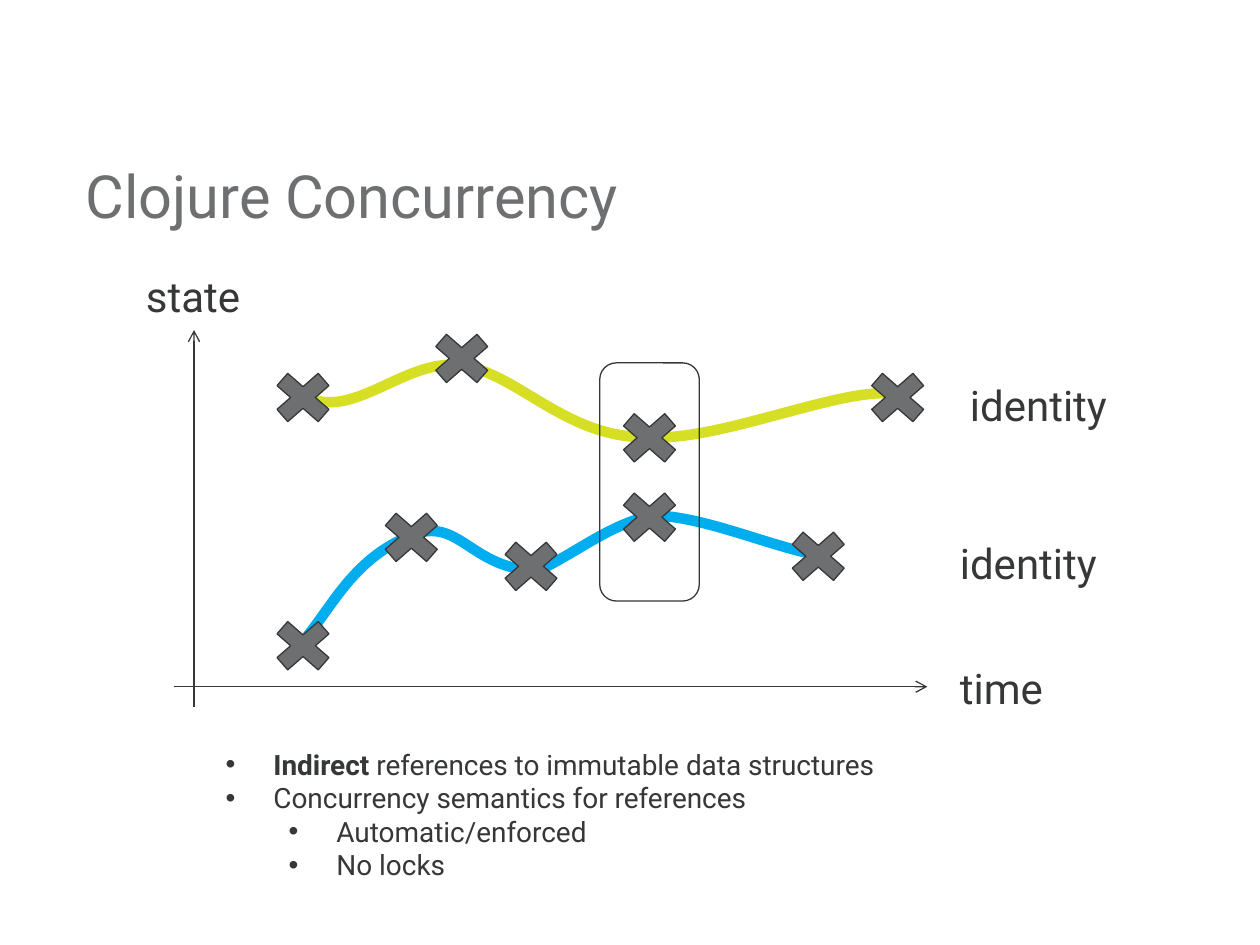
import collections

import lxml.etree
import pptx
import pptx.dml.color
import pptx.enum.shapes
import pptx.enum.text
import pptx.oxml.ns
import pptx.util
from pptx.util import Inches

FONT = "Roboto"
INK, GREY, BLUE, LIME = "363738", "6D6F71", "00ADEF", "D6DF23"
Box = collections.namedtuple("Box", "left top width height")
Track = collections.namedtuple("Track", "color points marks label")

TRACKS = [
    Track(
        BLUE,
        [(1.27, 3.23), (1.6, 2.94), (1.72, 2.47), (2.26, 2.25), (2.65, 2.09),
         (2.73, 2.52), (3.27, 2.53), (3.57, 2.39), (3.84, 2.16), (4.18, 2.09),
         (4.61, 2.1), (5.13, 2.35), (5.56, 2.42)],
        [(1.09, 2.85), (1.95, 1.99), (2.9, 2.22), (3.84, 1.83), (5.18, 2.14)],
        (6.52, 2.22),
    ),
    Track(
        LIME,
        [(1.39, 1.13), (1.79, 1.37), (2.2, 0.84), (2.66, 0.9), (3.11, 0.96),
         (3.49, 1.48), (4.14, 1.47), (4.72, 1.51), (5.71, 1.05), (6.13, 1.13)],
        [(1.09, 0.88), (2.35, 0.57), (3.84, 1.2), (5.81, 0.88)],
        (6.6, 0.96),
    ),
]
BULLETS = [
    (0, [("Indirect", True), (" references to immutable data structures", False)]),
    (0, [("Concurrency semantics for references", False)]),
    (1, [("Automatic/enforced", False)]),
    (1, [("No locks", False)]),
]


def rgb(value):
    """Turn a hex string into a colour."""
    return pptx.dml.color.RGBColor.from_string(value)


def add_xml(parent, tag, **attributes):
    """Append a drawing element with the given attributes."""
    return lxml.etree.SubElement(parent, pptx.oxml.ns.qn(tag), attributes)


def write(para, text, size=24, color=INK, bold=False):
    """Add a formatted span of text to a paragraph."""
    span = para.add_run()
    span.text = text
    span.font.name = FONT
    span.font.size = pptx.util.Pt(size)
    span.font.bold = bold
    span.font.color.rgb = rgb(color)


def place(shape, box):
    """Move a shape to a box given in inches."""
    shape.left, shape.top, shape.width, shape.height = map(Inches, box)


def style(shape, line, weight=0.75, fill=None):
    """Set the outline and fill of a shape and drop its shadow."""
    shape.shadow.inherit = False
    shape.line.color.rgb = rgb(line)
    shape.line.width = pptx.util.Pt(weight)
    if fill:
        shape.fill.solid()
        shape.fill.fore_color.rgb = rgb(fill)
    else:
        shape.fill.background()


def add_label(page, text, box):
    """Add a single-line label."""
    frame = page.shapes.add_textbox(*map(Inches, box)).text_frame
    frame.word_wrap = False
    frame.auto_size = pptx.enum.text.MSO_AUTO_SIZE.SHAPE_TO_FIT_TEXT
    write(frame.paragraphs[0], text)


def add_axis(page, start, end):
    """Add an axis with an open arrowhead at its end."""
    axis = page.shapes.add_connector(
        pptx.enum.shapes.MSO_CONNECTOR.STRAIGHT, *map(Inches, start + end))
    axis.line.color.rgb = rgb(INK)
    axis.line.width = pptx.util.Pt(0.75)
    add_xml(axis.line._get_or_add_ln(), "a:tailEnd", type="arrow")
    add_xml(axis._element.spPr, "a:effectLst")


def add_curve(page, points, color):
    """Draw a chain of cubic curves through a start and triples of points."""
    start, *rest = [tuple(map(Inches, point)) for point in points]
    builder = page.shapes.build_freeform(*start)
    builder.add_line_segments(rest, close=False)
    curve = builder.convert_to_shape()
    style(curve, color, weight=6)
    outline = next(curve._element.iter(pptx.oxml.ns.qn("a:path")))
    segments = outline.findall(pptx.oxml.ns.qn("a:lnTo"))
    for first in range(0, len(segments), 3):
        bezier = add_xml(outline, "a:cubicBezTo")
        for segment in segments[first:first + 3]:
            bezier.append(segment[0])
            outline.remove(segment)


def build_title(page, box):
    """Fill the title placeholder."""
    title = page.shapes.title
    place(title, box)
    frame = title.text_frame
    frame.vertical_anchor = pptx.enum.text.MSO_ANCHOR.MIDDLE
    frame.auto_size = pptx.enum.text.MSO_AUTO_SIZE.NONE
    para = frame.paragraphs[0]
    para.alignment = pptx.enum.text.PP_ALIGN.LEFT
    write(para, "Clojure Concurrency", size=34, color=GREY)


def build_diagram(page, box):
    """Draw the state and time axes with both identity tracks."""
    def at(x, y):
        return box.left + x, box.top + y

    add_axis(page, at(0.38, 3.45), at(6.36, 3.45))
    add_axis(page, at(0.54, 3.61), at(0.54, 0.62))
    add_label(page, "time", at(6.52, 3.21) + (0.87, 0.5))
    add_label(page, "state", at(0.06, 0.1) + (0.98, 0.5))
    kinds = pptx.enum.shapes.MSO_SHAPE
    for track in TRACKS:
        add_curve(page, [at(*point) for point in track.points], track.color)
        for mark in track.marks:
            cross = page.shapes.add_shape(
                kinds.MATH_MULTIPLY, *map(Inches, at(*mark) + (0.63, 0.55)))
            style(cross, INK, fill=GREY)
        add_label(page, "identity", at(*track.label) + (1.36, 0.5))
    snapshot = page.shapes.add_shape(
        kinds.ROUNDED_RECTANGLE, *map(Inches, at(3.76, 0.88) + (0.79, 1.89)))
    style(snapshot, INK)


def build_bullets(page, box):
    """Fill the body placeholder with the two-level list."""
    body = page.placeholders[1]
    place(body, box)
    frame = body.text_frame
    frame.word_wrap = False
    frame.auto_size = pptx.enum.text.MSO_AUTO_SIZE.NONE
    for index, (level, spans) in enumerate(BULLETS):
        para = frame.add_paragraph() if index else frame.paragraphs[0]
        para.level = level
        para.space_before = pptx.util.Pt(0)
        properties = para._p.get_or_add_pPr()
        properties.set("marL", str(Inches(0.38 + 0.5 * level)))
        properties.set("indent", str(Inches(-0.38)))
        add_xml(properties, "a:buFont", typeface="Arial")
        add_xml(properties, "a:buChar", char="•")
        for text, bold in spans:
            write(para, text, size=16, bold=bold)


def main():
    """Build the deck and save it."""
    deck = pptx.Presentation()
    deck.slide_width, deck.slide_height = Inches(10), Inches(7.5)
    page = deck.slides.add_slide(deck.slide_layouts[1])
    build_title(page, Box(0.58, 1.17, 7, 0.75))
    build_diagram(page, Box(1, 2, 8, 3.75))
    build_bullets(page, Box(1.69, 5.88, 5.43, 1.18))
    deck.save("out.pptx")


if __name__ == "__main__":
    main()
